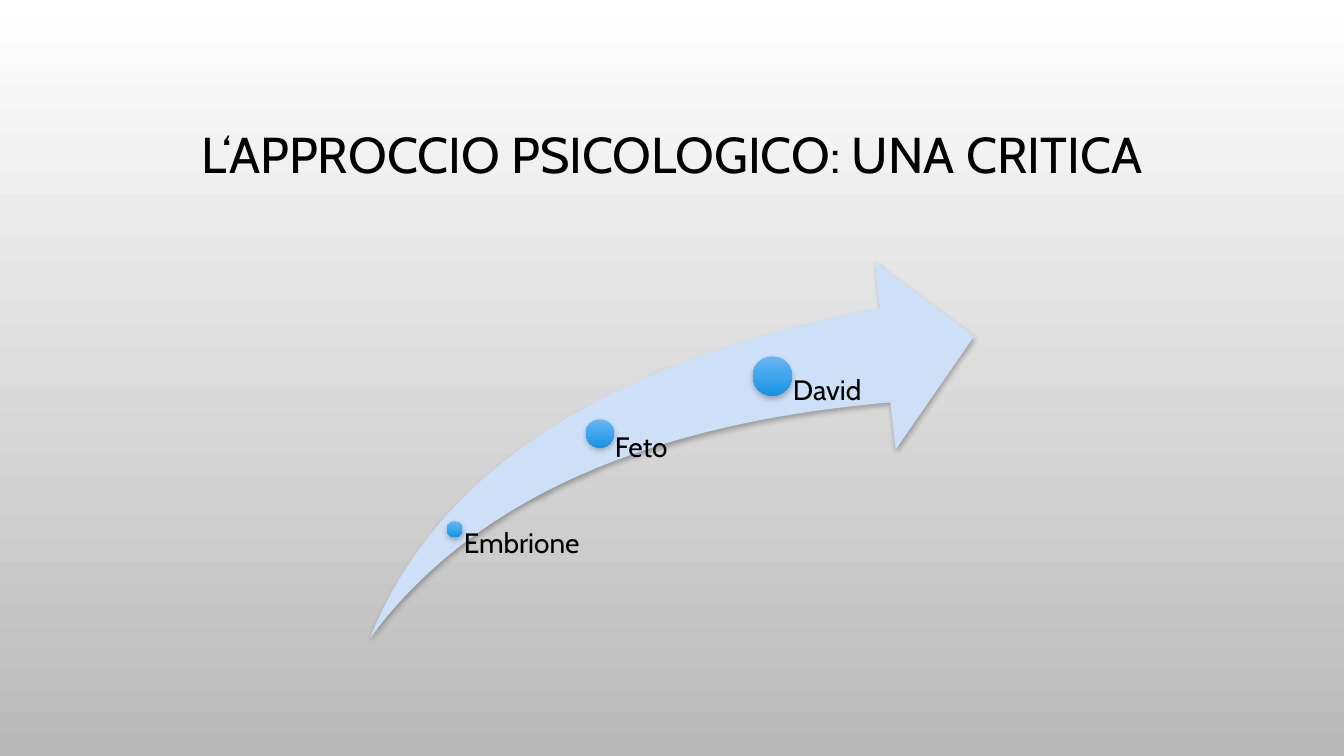
from copy import deepcopy

from lxml.etree import SubElement
from pptx import Presentation
from pptx.dml.color import RGBColor
from pptx.enum.shapes import MSO_SHAPE
from pptx.enum.text import MSO_ANCHOR, PP_ALIGN
from pptx.oxml.ns import qn
from pptx.util import Inches, Pt

# Content
TITLE = "L‘APPROCCIO PSICOLOGICO: UNA CRITICA"
STAGES = [  # label, dot centre x and y, dot diameter, label width
    ("Embrione", 4.51, 5.25, 0.16, 1.40),
    ("Feto", 5.95, 4.30, 0.28, 1.44),
    ("David", 7.66, 3.73, 0.39, 1.44),
]

# Style
FONT = "Cabin"
COLORS = {"text": "000000", "arrow": "CDE0F8", "shadow": "000000"}
PAGE_STOPS = ["FFFFFF", "B9B9B9"]
DOT_STOPS = ["6CB6F1", "3FA6EE", "1891DF"]

# Layout
WIDTH, HEIGHT = 13.33, 7.5
TITLE_BOX = (1, 0.68, WIDTH - 2, 1.75)
ARROW_BOX = (3.67, 2.59, 5.99, 3.74)
ARROW_BOTTOM = ARROW_BOX[1] + ARROW_BOX[3]


def fill_gradient(fill, root, stops):
    """Fill from top to bottom with evenly spaced colours."""
    fill.gradient()
    fill.gradient_angle = 270
    gs_list = root.find(".//" + qn("a:gsLst"))
    while len(gs_list) < len(stops):
        gs_list.append(deepcopy(gs_list[-1]))
    for i, (stop, color) in enumerate(zip(fill.gradient_stops, stops)):
        stop.position = i / (len(stops) - 1)
        stop.color.rgb = RGBColor.from_string(color)


def add_shape(s, kind, box):
    """Add an outline-free shape with a soft shadow below it."""
    sp = s.shapes.add_shape(kind, *map(Inches, box))
    sp.line.fill.background()
    sp.shadow.inherit = False
    effects = sp._element.spPr.find(qn("a:effectLst"))
    shadow = SubElement(effects, qn("a:outerShdw"), blurRad=str(Pt(4)),
                        dist=str(Pt(2)), dir="5400000", rotWithShape="0")
    color = SubElement(shadow, qn("a:srgbClr"), val=COLORS["shadow"])
    SubElement(color, qn("a:alpha"), val="28000")
    return sp


def add_text(s, text, box, size, inset, anchor, align):
    tf = s.shapes.add_textbox(*map(Inches, box)).text_frame
    tf.word_wrap = True
    tf.vertical_anchor = anchor
    tf.margin_left = Inches(inset)
    tf.margin_right = tf.margin_top = tf.margin_bottom = 0
    p = tf.paragraphs[0]
    p.text = text
    p.alignment = align
    p.line_spacing = 0.9
    font = p.runs[0].font
    font.name, font.size = FONT, Pt(size)
    font.color.rgb = RGBColor.from_string(COLORS["text"])


def main():
    prs = Presentation()
    prs.slide_width, prs.slide_height = Inches(WIDTH), Inches(HEIGHT)
    s = prs.slides.add_slide(prs.slide_layouts[6])
    fill_gradient(s.background.fill, s._element, PAGE_STOPS)

    # Title
    add_text(s, TITLE, TITLE_BOX, 36, 0, MSO_ANCHOR.MIDDLE, PP_ALIGN.CENTER)

    # Rising arrow
    arrow = add_shape(s, MSO_SHAPE.SWOOSH_ARROW, ARROW_BOX)
    arrow.adjustments[0] = arrow.adjustments[1] = 0.25
    arrow.fill.solid()
    arrow.fill.fore_color.rgb = RGBColor.from_string(COLORS["arrow"])

    # Stages: each label box starts at the centre of its dot
    for label, x, y, size, width in STAGES:
        radius = size / 2
        dot = add_shape(s, MSO_SHAPE.OVAL, (x - radius, y - radius, size, size))
        fill_gradient(dot.fill, dot._element, DOT_STOPS)
        add_text(s, label, (x, y, width, ARROW_BOTTOM - y), 20,
                 radius + 0.01, MSO_ANCHOR.TOP, PP_ALIGN.LEFT)

    prs.save("out.pptx")


if __name__ == "__main__":
    main()
